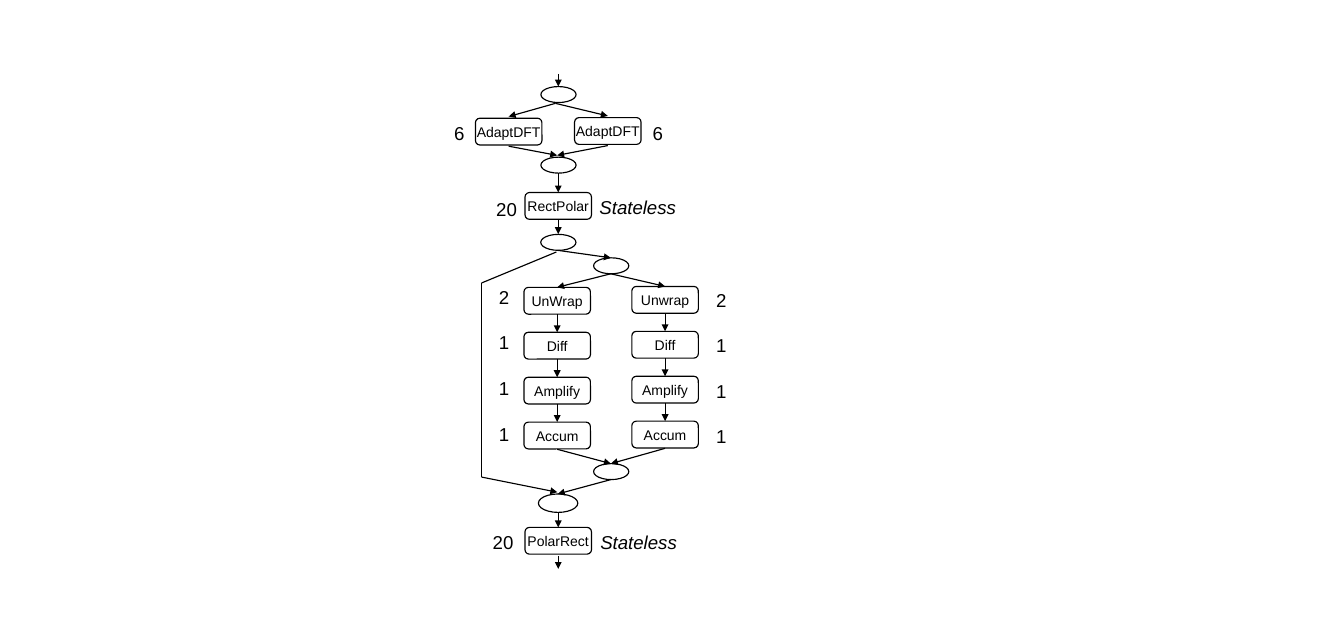
from dataclasses import dataclass

from lxml import etree
from pptx import Presentation
from pptx.dml.color import RGBColor
from pptx.enum import shapes, text
from pptx.oxml import ns
from pptx.util import Pt


@dataclass(frozen=True)
class Theme:
    ink: RGBColor = RGBColor(0, 0, 0)
    paper: RGBColor = RGBColor(255, 255, 255)
    font: str = "Arial"
    box_size: int = 12
    label_size: int = 16
    line: int = 1


THEME = Theme()
BOX_WIDTH, BOX_HEIGHT = 57, 23
NODE_WIDTH, NODE_HEIGHT = 30.2, 13.7
LABEL_HEIGHT, DIGIT_WIDTH, COUNT_WIDTH, NOTE_WIDTH = 26.6, 24, 36, 80


def write(frame, words, size=THEME.label_size, italic=False):
    frame.word_wrap = False
    para = frame.paragraphs[0]
    para.alignment = text.PP_ALIGN.CENTER
    span = para.add_run()
    span.text = words
    span.font.name = THEME.font
    span.font.size = Pt(size)
    span.font.italic = italic
    span.font.color.rgb = THEME.ink


def outline(page, kind, left, top, width, height):
    shape = page.shapes.add_shape(kind, Pt(left), Pt(top), Pt(width), Pt(height))
    shape.shadow.inherit = False
    shape.fill.solid()
    shape.fill.fore_color.rgb = THEME.paper
    shape.line.color.rgb = THEME.ink
    shape.line.width = Pt(THEME.line)
    return shape


def filter_box(page, name, left, top):
    box = outline(page, shapes.MSO_SHAPE.ROUNDED_RECTANGLE, left, top, BOX_WIDTH, BOX_HEIGHT)
    box.text_frame.vertical_anchor = text.MSO_ANCHOR.MIDDLE
    write(box.text_frame, name, size=THEME.box_size)


def node(page, left, top, width=NODE_WIDTH, height=NODE_HEIGHT):
    outline(page, shapes.MSO_SHAPE.OVAL, left, top, width, height)


def label(page, words, left, top, width=DIGIT_WIDTH, italic=False):
    box = page.shapes.add_textbox(Pt(left), Pt(top), Pt(width), Pt(LABEL_HEIGHT))
    write(box.text_frame, words, italic=italic)


def link(page, start, end, arrow=True):
    line = page.shapes.add_connector(
        shapes.MSO_CONNECTOR.STRAIGHT, *(Pt(value) for value in (*start, *end)))
    line.line.color.rgb = THEME.ink
    line.line.width = Pt(THEME.line)
    if arrow:
        etree.SubElement(line.line._get_or_add_ln(), ns.qn("a:tailEnd"), type="triangle")
    etree.SubElement(line._element.spPr, ns.qn("a:effectLst"))


def adapt_section(page, left, top):
    middle = left + 97
    link(page, (middle, top), (middle, top + 10.8))
    for node_top in (10.8, 71.3):
        node(page, left + 82, top + node_top)
    for box_left, box_top, count_left in ((25.9, 37.9, 0), (110.9, 37.4, 170.2)):
        center = left + box_left + BOX_WIDTH / 2
        filter_box(page, "AdaptDFT", left + box_left, top + box_top)
        label(page, "6", left + count_left, top + 37.4)
        link(page, (middle - 2.5, top + 25.2), (center, top + box_top - 1.4))
        link(page, (center, top + box_top + BOX_HEIGHT + 1), (middle - 1, top + 69.8))


def polar_stage(page, name, left, top, lead, gap, count_at, note_at):
    center, bottom = left + BOX_WIDTH / 2, top + BOX_HEIGHT
    filter_box(page, name, left, top)
    label(page, "20", left + count_at[0], top + count_at[1], width=COUNT_WIDTH)
    label(page, "Stateless", left + note_at[0], top + note_at[1], width=NOTE_WIDTH, italic=True)
    link(page, (center, top - lead), (center, top))
    link(page, (center, bottom + gap), (center, bottom + 12.7))


def phase_column(page, left, top, names, count_at):
    center, pitch = left + BOX_WIDTH / 2, 38.5
    for row, (name, count) in enumerate(zip(names, "2111")):
        row_top = top + row * pitch
        filter_box(page, name, left, row_top)
        label(page, count, left + count_at[0], top + count_at[1] + row * 39)
        if row:
            link(page, (center, row_top - pitch + BOX_HEIGHT), (center, row_top))


def phase_section(page, left, top):
    trunk, middle = left + 65.4, left + 110.9
    node(page, left + 50.8, top)
    node(page, left + 96.1, top + 20.1)
    node(page, left + 96.1, top + 196.5)
    node(page, left + 48.8, top + 222.5, width=33.8, height=15.8)
    link(page, (trunk, top + 13.7), (middle, top + 20.1))
    link(page, (middle, top + 210.2), (trunk, top + 222.5))

    columns = ((36.4, 45.4, "UnWrap", (-29.1, -4.8)), (128.9, 44.6, "Unwrap", (64.7, -1.8)))
    for column_left, column_top, first, count_at in columns:
        center = left + column_left + BOX_WIDTH / 2
        names = (first, "Diff", "Amplify", "Accum")
        phase_column(page, left + column_left, top + column_top, names, count_at)
        link(page, (middle, top + 33.8), (center, top + column_top))
        link(page, (center, top + column_top + 138.8), (middle, top + 196.5))

    bypass = [(trunk - 1.2, top + 15.1), (left, top + 41.7),
              (left, top + 208), (trunk - 0.4, top + 221)]
    for step, (start, end) in enumerate(zip(bypass, bypass[1:])):
        link(page, start, end, arrow=step == 2)


def main():
    deck = Presentation()
    deck.slide_width, deck.slide_height = Pt(1152), Pt(540)
    page = deck.slides.add_slide(deck.slide_layouts[6])
    adapt_section(page, 381.6, 63.4)
    polar_stage(page, "RectPolar", 450, 165, lead=16.6, gap=0,
                count_at=(-33.8, 0.7), note_at=(56.7, -0.8))
    phase_section(page, 412.7, 200.9)
    polar_stage(page, "PolarRect", 450, 452, lead=13, gap=1.4,
                count_at=(-36.8, -0.6), note_at=(57.4, -0.6))
    deck.save("out.pptx")


if __name__ == "__main__":
    main()
